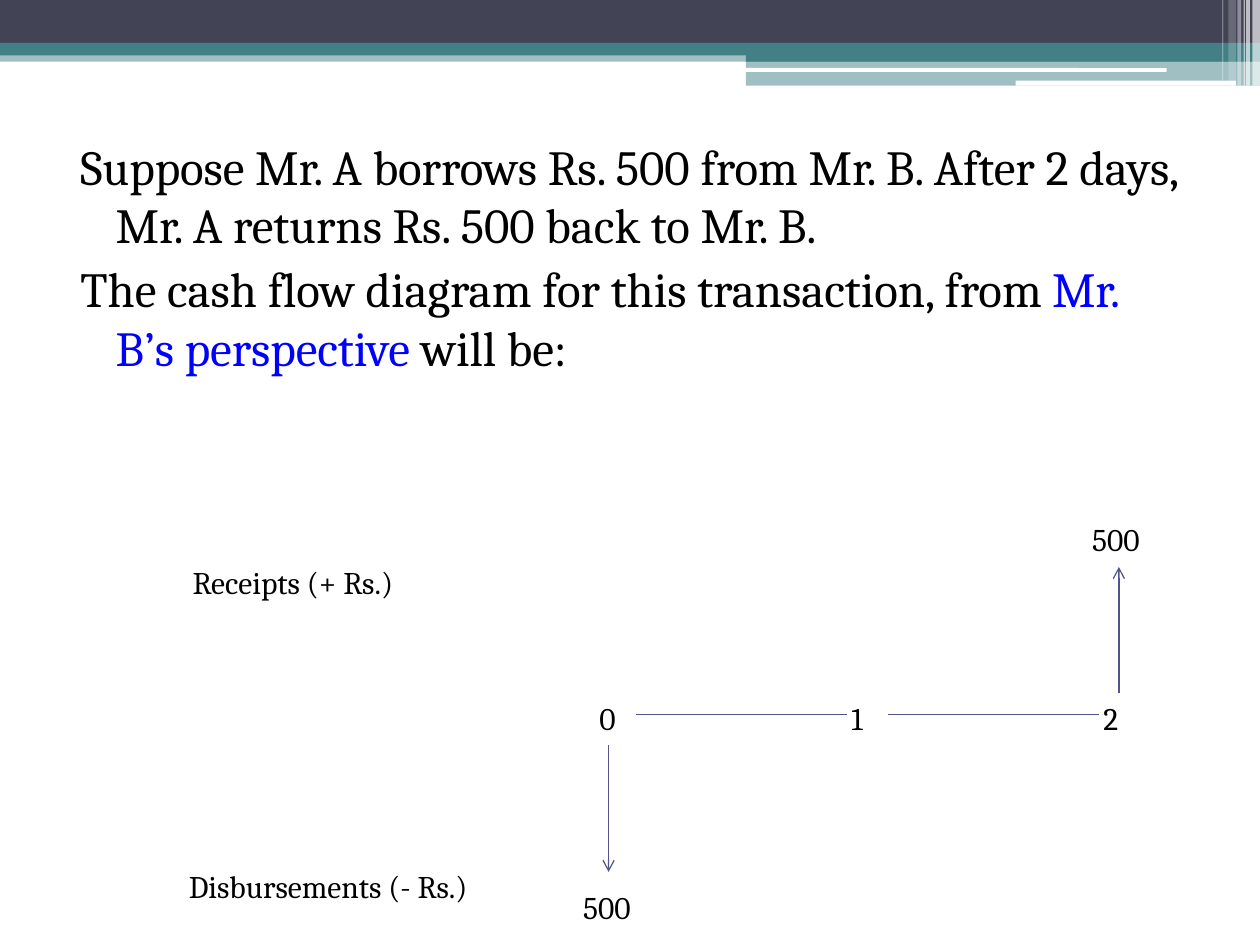
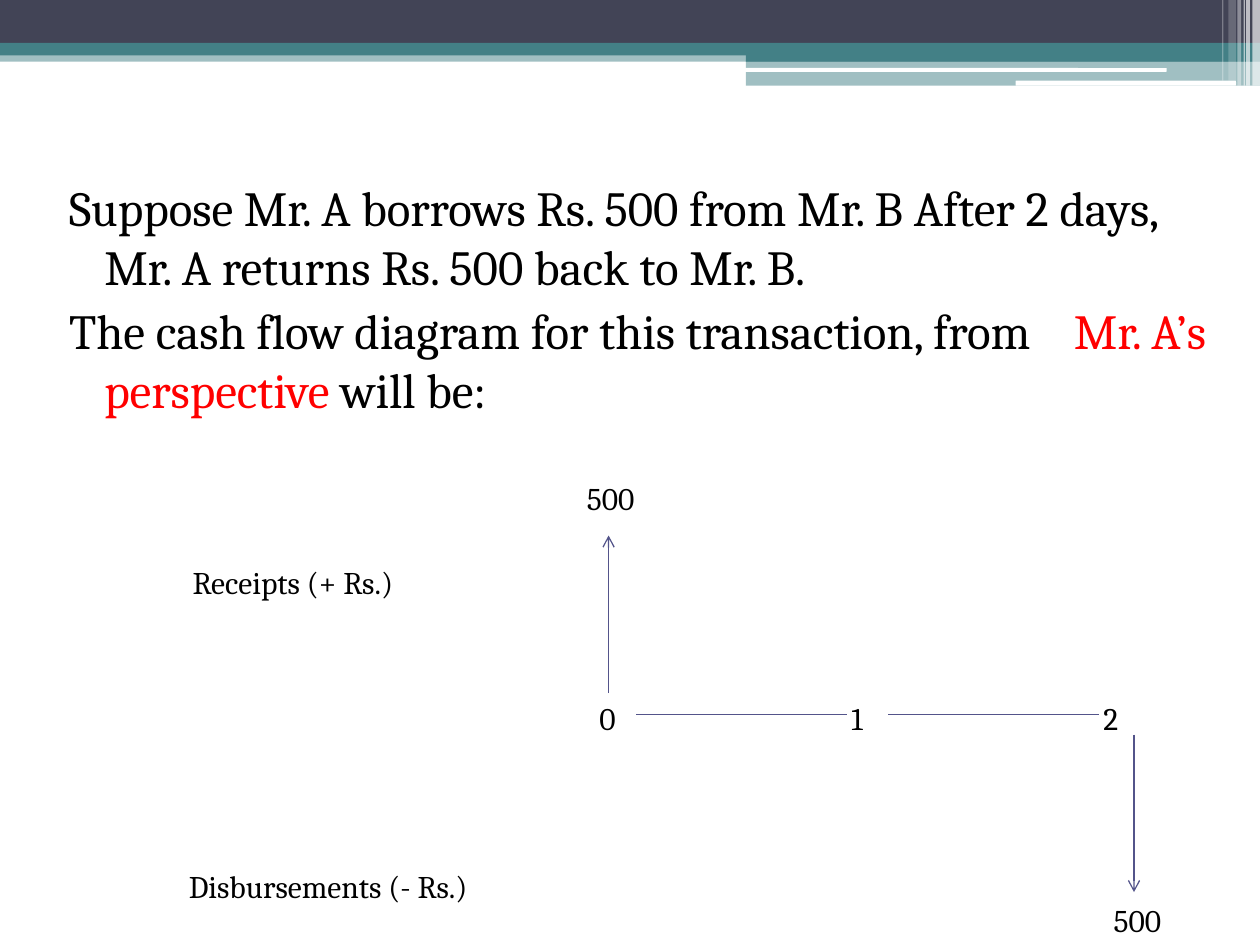
"""Build two slides that show a loan as cash flow diagrams."""
from lxml.etree import SubElement
from pptx import Presentation
from pptx.dml.color import RGBColor
from pptx.enum.shapes import MSO_CONNECTOR as Link, MSO_SHAPE as Shape
from pptx.enum.text import MSO_AUTO_SIZE as Fit
from pptx.oxml.ns import qn
from pptx.util import Pt

PX = 9144
FONT = "Cambria"
WHITE = RGBColor(0xFF, 0xFF, 0xFF)
BLACK = RGBColor(0x00, 0x00, 0x00)
NAVY = RGBColor(0x42, 0x44, 0x56)
TEAL = RGBColor(0x43, 0x80, 0x86)
PLUM = RGBColor(0x53, 0x54, 0x8A)
BLUE = RGBColor(0x00, 0x00, 0xFF)
RED = RGBColor(0xFF, 0x00, 0x00)

BANDS = [
    (0, 40, 1000, 9, TEAL, 50),
    (0, 0, 1000, 34, NAVY, 100),
    (0, 34, 1000, 10, TEAL, 100),
    (592, 39, 408, 10, TEAL, 100),
    (592, 48, 408, 20, TEAL, 50),
]
BARS = [(591, 54, 335, 3), (806, 64, 175, 4)]
STRIPES = [
    (994, 6, 68, 65), (989, 3, 68, 65), (987, 1, 68, 60),
    (982, 3, 68, 40), (975, 6, 64, 20), (970, 1, 64, 30),
]


class Deck:
    def __init__(self):
        self.show = Presentation()
        self.show.slide_width, self.show.slide_height = 1000 * PX, 750 * PX
        self.slide = None

    def page(self):
        self.slide = self.show.slides.add_slide(self.show.slide_layouts[6])
        for x, y, w, h, color, alpha in BANDS:
            self.block(x, y, w, h, color, alpha)
        for bar in BARS:
            self.block(*bar, WHITE, kind=Shape.ROUNDED_RECTANGLE)
        for x, w, h, alpha in STRIPES:
            self.block(x, 0, w, h, WHITE, alpha)

    def block(self, x, y, w, h, color, alpha=100, kind=Shape.RECTANGLE):
        block = self.slide.shapes.add_shape(kind, x * PX, y * PX, w * PX, h * PX)
        block.shadow.inherit = False
        block.line.fill.background()
        block.fill.solid()
        block.fill.fore_color.rgb = color
        if alpha < 100:
            tint = block.fill._xPr.find(".//" + qn("a:srgbClr"))
            SubElement(tint, qn("a:alpha"), val=str(alpha * 1000))

    def line(self, x, y, end_x, end_y, arrow=False):
        line = self.slide.shapes.add_connector(
            Link.STRAIGHT, x * PX, y * PX, end_x * PX, end_y * PX)
        line.line.color.rgb = PLUM
        line.line.width = Pt(0.75)
        if arrow:
            SubElement(line.line._ln, qn("a:tailEnd"), type="arrow")
        SubElement(line._element.spPr, qn("a:effectLst"))

    def text(self, x, y, w, h, *paras, size=18, wrap=False, top=5, hang=None, gap=0):
        box = self.slide.shapes.add_textbox(x * PX, y * PX, w * PX, h * PX)
        frame = box.text_frame
        frame.word_wrap = wrap
        frame.auto_size = Fit.NONE if wrap else Fit.SHAPE_TO_FIT_TEXT
        frame.margin_left = frame.margin_right = 10 * PX
        frame.margin_top, frame.margin_bottom = top * PX, 5 * PX
        for num, runs in enumerate(paras):
            para = frame.add_paragraph() if num else frame.paragraphs[0]
            props = para._p.get_or_add_pPr()
            tabs = SubElement(props, qn("a:tabLst"))
            for stop in range(8):
                SubElement(tabs, qn("a:tab"), pos=str(stop * 100 * PX), algn="l")
            if hang:
                props.set("marL", str(hang[0] * PX))
                props.set("indent", str(hang[1] * PX))
            if num:
                para.space_before = Pt(gap)
            for words, color, space in runs:
                run = para.add_run()
                run.text = words
                run.font.name, run.font.size = FONT, Pt(size)
                run.font.color.rgb = color
                if space:
                    run.font._element.set("spc", str(space * 100))

    def label(self, x, y, w, words):
        self.text(x, y, w, 40, [(words, BLACK, 0)])

    def story(self, x, y, w, deal, who, color, space=0):
        self.text(
            x, y, w, 617,
            [(deal, BLACK, 0)],
            [("The cash flow diagram for this transaction, from", BLACK, 0),
             (" ", BLACK, space),
             (f"{who}’s perspective ", color, 0),
             ("will be:", BLACK, 0)],
            size=28, wrap=True, top=8, hang=(40, -28), gap=3)

    def axis(self):
        for x in (505, 705):
            self.line(x, 567, x + 167, 567)
        self.label(466, 550, 434, "0\t\t1\t\t2")
        self.label(143, 442, 197, "Receipts (+ Rs.)")
        self.label(140, 683, 270, "Disbursements (- Rs.)")

    def flow(self, x, y, end_y, label_x, label_y):
        self.line(x, y, x, end_y, arrow=True)
        self.label(label_x, label_y, 62, "500")


def main():
    deck = Deck()

    deck.page()
    deck.story(
        42, 100, 910,
        "Suppose Mr. A borrows Rs. 500 from Mr. B. After 2 days, "
        "Mr. A returns Rs. 500 back to Mr. B.", "Mr. B", BLUE)
    deck.axis()
    deck.flow(483, 591, 692, 453, 700)
    deck.flow(888, 550, 450, 857, 408)

    deck.page()
    deck.story(
        33, 133, 944,
        "Suppose Mr. A borrows Rs. 500 from Mr. B After 2 days, "
        "Mr. A returns Rs. 500 back to Mr. B.", "Mr. A", RED, space=19)
    deck.axis()
    deck.flow(483, 550, 425, 456, 375)
    deck.flow(900, 583, 708, 874, 710)

    deck.show.save("out.pptx")


if __name__ == "__main__":
    main()
